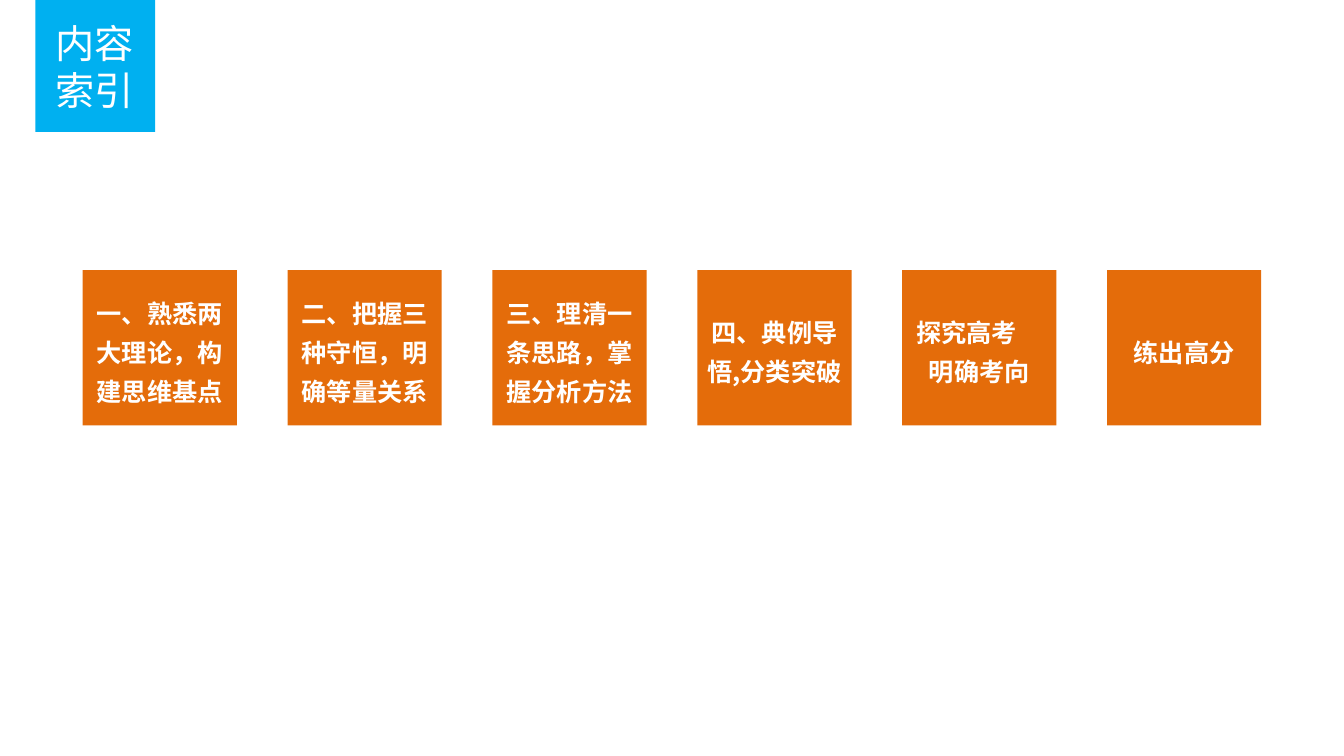
import pptx
import pptx.util
import pptx.dml.color
import pptx.enum.shapes
import pptx.enum.text
import pptx.oxml.ns
import lxml.etree
from dataclasses import dataclass

Inches = pptx.util.Inches


@dataclass(frozen=True)
class Theme:
    blue: str = "00B0F0"
    orange: str = "E46C0A"
    white: str = "FFFFFF"
    face: str = "Noto Sans CJK SC"
    title: int = 28
    body: int = 18


THEME = Theme()
TOPICS = [
    "一、熟悉两大理论，构建思维基点",
    "二、把握三种守恒，明确等量关系",
    "三、理清一条思路，掌握分析方法",
    "四、典例导悟,分类突破",
    "探究高考　明确考向",
    "练出高分",
]


def add_box(slide, left, top, width, height, color):
    box = slide.shapes.add_shape(
        pptx.enum.shapes.MSO_SHAPE.RECTANGLE,
        Inches(left), Inches(top), Inches(width), Inches(height))
    box.shadow.inherit = False
    box.fill.solid()
    box.fill.fore_color.rgb = pptx.dml.color.RGBColor.from_string(color)
    box.line.fill.background()
    return box


def write(shape, text, size, bold=False, space=1.0):
    frame = shape.text_frame
    frame.word_wrap = True
    para = frame.paragraphs[0]
    para.alignment = pptx.enum.text.PP_ALIGN.CENTER
    para.line_spacing = space
    run = para.add_run()
    run.text = text
    style = {"size": pptx.util.Pt(size), "bold": bold, "name": THEME.face}
    for key, value in style.items():
        setattr(run.font, key, value)
    run.font.color.rgb = pptx.dml.color.RGBColor.from_string(THEME.white)
    # East Asian typeface
    tag = pptx.oxml.ns.qn("a:ea")
    lxml.etree.SubElement(run.font._element, tag, typeface=THEME.face)


def add_badge(slide, left, top, width, height):
    add_box(slide, left, top, width, height, THEME.blue)
    # Title inset within the badge
    label = slide.shapes.add_textbox(
        Inches(left + 0.08), Inches(top + 0.14),
        Inches(width - 0.17), Inches(height - 0.27))
    write(label, "内容索引", THEME.title)


def add_tiles(slide, left, top, width, height, tile):
    # Equal steps from the first tile to the last
    step = (width - tile) / (len(TOPICS) - 1)
    for i, topic in enumerate(TOPICS):
        box = add_box(slide, left + i * step, top, tile, height, THEME.orange)
        box.text_frame.vertical_anchor = pptx.enum.text.MSO_ANCHOR.MIDDLE
        write(box, topic, THEME.body, bold=True, space=1.3)


def main():
    deck = pptx.Presentation()
    deck.slide_width = Inches(13.33)
    deck.slide_height = Inches(7.5)
    slide = deck.slides.add_slide(deck.slide_layouts[6])
    add_badge(slide, 0.35, 0, 1.19, 1.31)
    add_tiles(slide, 0.82, 2.68, 11.69, 1.54, tile=1.53)
    deck.save("out.pptx")


if __name__ == "__main__":
    main()
